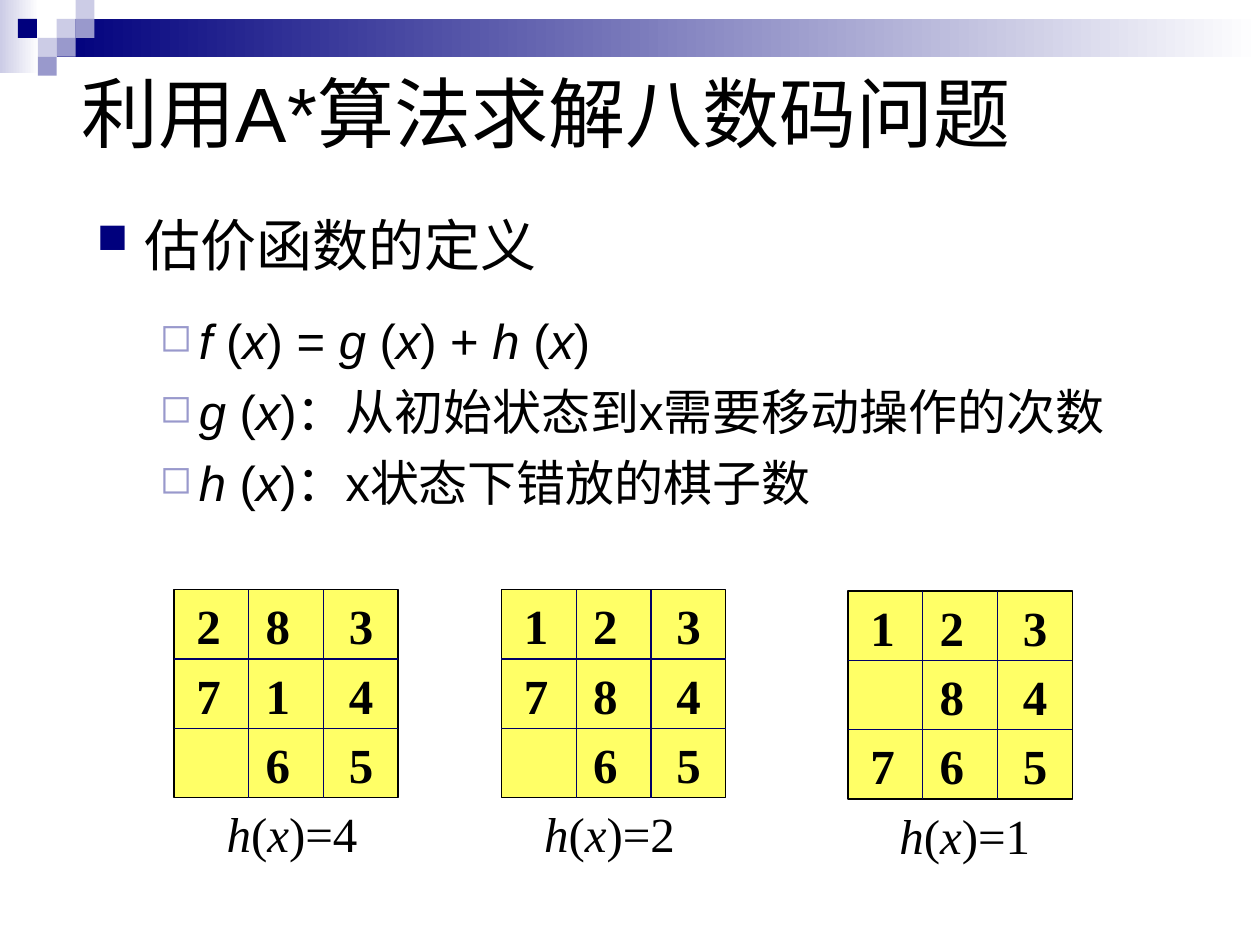
from lxml import etree
from pptx import Presentation
from pptx.dml.color import RGBColor as RGB
from pptx.enum.shapes import MSO_CONNECTOR as CONN, MSO_SHAPE as SHAPE
from pptx.enum.text import MSO_ANCHOR as ANCHOR
from pptx.oxml.ns import qn
from pptx.util import Emu, Inches, Pt

COLORS = {"navy": "00007D", "mid": "9999CC", "pale": "CCCCE6", "white": "FFFFFF",
          "black": "000000", "tile": "FFFF66", "grid": "000066"}

prs = Presentation()
prs.slide_width, prs.slide_height = Inches(10), Inches(7.5)


def rgb(name):
    return RGB.from_string(COLORS[name])


def place(*shares):
    """Turn alternating x, y shares (percent of the slide) into lengths."""
    sides = (prs.slide_width, prs.slide_height) * 2
    return [Emu(round(side * v / 100)) for side, v in zip(sides, shares)]


def add_rect(s, box, fill, line=None):
    sp = s.shapes.add_shape(SHAPE.RECTANGLE, *place(*box))
    sp.shadow.inherit = False
    if isinstance(fill, tuple):
        sp.fill.gradient()
        sp.fill.gradient_angle = 0
        for stop, name, pos in zip(sp.fill.gradient_stops, fill, (0, 1)):
            stop.color.rgb, stop.position = rgb(name), pos
    else:
        sp.fill.solid()
        sp.fill.fore_color.rgb = rgb(fill)
    if line:
        sp.line.color.rgb, sp.line.width = rgb(line), Pt(0.75)
    else:
        sp.line.fill.background()


def add_line(s, *ends):
    ln = s.shapes.add_connector(CONN.STRAIGHT, *place(*ends))
    ln.line.color.rgb, ln.line.width = rgb("grid"), Pt(0.75)
    etree.SubElement(ln._element.spPr, qn("a:effectLst"))


def add_bullet(p, char, color, size, margin, hang):
    pPr = p._p.get_or_add_pPr()
    pPr.set("marL", str(Inches(margin)))
    pPr.set("indent", str(-Inches(hang)))
    clr = etree.SubElement(pPr, qn("a:buClr"))
    etree.SubElement(clr, qn("a:srgbClr"), val=COLORS[color])
    etree.SubElement(pPr, qn("a:buSzPct"), val=str(size * 1000))
    etree.SubElement(pPr, qn("a:buChar"), char=char)


def write(p, text, size=28, font="Arial", bold=False):
    """Fill a paragraph; parts between underscores are italic."""
    for i, part in enumerate(text.split("_")):
        if part:
            r = p.add_run()
            r.text = part
            r.font.size, r.font.name, r.font.bold = Pt(size), font, bold
            r.font.italic = i % 2 == 1
            r.font.color.rgb = rgb("black")


def add_box(s, box, text="", wrap=False, anchor=ANCHOR.TOP, **fmt):
    tf = s.shapes.add_textbox(*place(*box)).text_frame
    tf.word_wrap, tf.vertical_anchor = wrap, anchor
    write(tf.paragraphs[0], text, **fmt)
    return tf


def header(s, x, y):
    """Gradient bands and a scatter of squares on a small grid."""
    w, h = 1.5, 2  # one square
    add_rect(s, (x, y, 3.1, 7.73), ("pale", "white"))
    add_rect(s, (x + 3 * w, y + h, 100 - 3 * w, 2 * h), ("navy", "white"))
    squares = [(3, 1, "pale"), (4, 0, "pale"), (4, 1, "mid"), (2, 2, "pale"),
               (0.95, 1, "navy"), (3, 2, "mid"), (2, 3, "mid")]
    for col, row, color in squares:
        add_rect(s, (x + col * w, y + row * h, w, h), color)


def definitions(s, box):
    """Heading with its three formulas as second-level bullets."""
    tf = add_box(s, box, "估价函数的定义", wrap=True, size=32)
    p = tf.paragraphs[0]
    p.space_after = Pt(12)
    add_bullet(p, "■", "navy", 75, 0.38, 0.38)
    for text in ("_f _(_x_) = _g _(_x_) + _h _(_x_)",
                 "_g _(_x_)：从初始状态到x需要移动操作的次数",
                 "_h _(_x_)：x状态下错放的棋子数"):
        p = tf.add_paragraph()
        p.level, p.space_before = 1, Pt(7)
        add_bullet(p, "◻", "mid", 80, 0.81, 0.31)
        write(p, text)


def board(s, box, rows, caption, caption_dx):
    """3 x 3 puzzle board; a blank in rows is the empty cell."""
    x, y, w, h = box
    add_rect(s, box, "tile", line="black")
    for k in (1, 2):
        add_line(s, x, y + k * h / 3, x + w, y + k * h / 3)
        add_line(s, x + k * w / 3, y, x + k * w / 3, y + h)
    for i, row in enumerate(rows):
        for dx, digit in zip((0.8, 6.3, 12.9), row):
            if digit != " ":
                add_box(s, (x + dx, y + i * h / 3, 3.9, 7.6), digit,
                        font="Times New Roman", bold=True)
    add_box(s, (x + caption_dx, y + h, 12.4, 7.6), caption, font="Times New Roman")


s = prs.slides.add_slide(prs.slide_layouts[6])
header(s, 0, 0)
add_box(s, (5.5, 1.87, 90, 20), "利用A*算法求解八数码问题", wrap=True,
        anchor=ANCHOR.MIDDLE, size=44)
definitions(s, (6.7, 21.6, 89, 57.5))

BOARDS = [  # left, top, rows, h value, caption offset
    (13.8, 62.4, ("283", "714", " 65"), 4, 3.2),
    (39.8, 62.4, ("123", "784", " 65"), 2, 2.4),
    (67.3, 62.55, ("123", " 84", "765"), 1, 3.1),
]
for left, top, rows, value, dx in BOARDS:
    board(s, (left, top, 17.8, 22), rows, f"_h_(_x_)={value}", dx)

prs.save("out.pptx")
